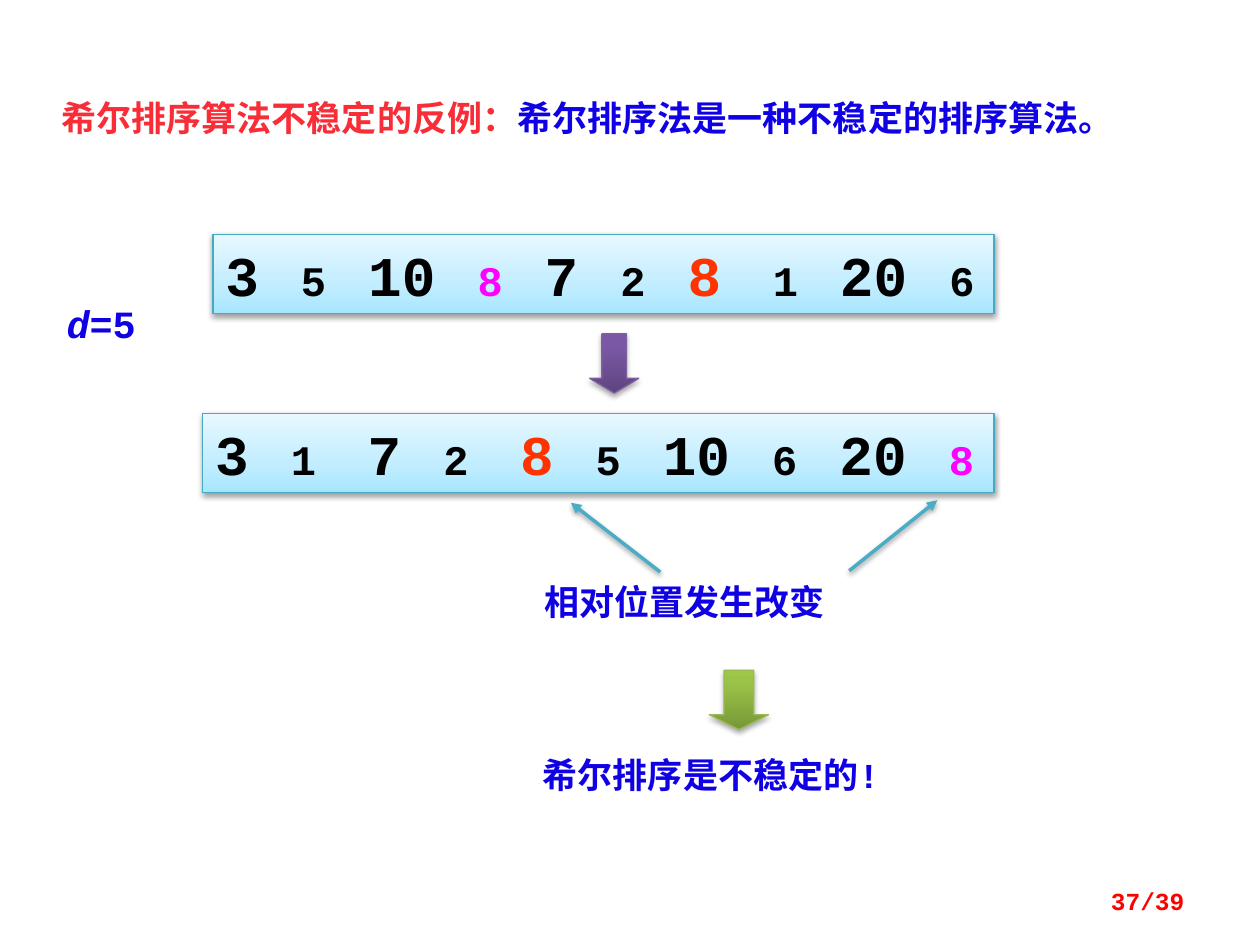
from dataclasses import dataclass

from lxml import etree
from pptx import Presentation
from pptx.dml.color import RGBColor
from pptx.enum.shapes import MSO_CONNECTOR, MSO_SHAPE
from pptx.enum.text import MSO_ANCHOR, PP_ALIGN
from pptx.oxml.ns import qn
from pptx.util import Inches, Pt

RECT, DOWN = MSO_SHAPE.RECTANGLE, MSO_SHAPE.DOWN_ARROW
STRAIGHT = MSO_CONNECTOR.STRAIGHT
TOP, MIDDLE = MSO_ANCHOR.TOP, MSO_ANCHOR.MIDDLE
LEFT, RIGHT = PP_ALIGN.LEFT, PP_ALIGN.RIGHT


@dataclass(frozen=True)
class Theme:
    latin: str = "Courier New"
    cjk: str = "Noto Sans CJK SC"
    black: str = "000000"
    blue: str = "1000E4"
    title_red: str = "F92D37"
    page_red: str = "FF0000"
    first_eight: str = "FF00FF"
    second_eight: str = "FF3300"
    pointer: str = "4BACC6"
    row_line: str = "46AAC5"
    row_fill: tuple = ((0, "A7E6FF"), (35, "C1EDFF"), (100, "E7F8FF"))
    purple_line: str = "7D60A0"
    purple_fill: tuple = ((0, "5F4480"), (80, "7B58A6"), (100, "7C57A8"))
    green_line: str = "98B955"
    green_fill: tuple = ((0, "779737"), (80, "9BC348"), (100, "9DC746"))
    big: int = 32
    small: int = 24
    step: int = 22
    body: int = 20
    page: int = 14


class Deck:
    def __init__(self, slide, theme):
        self.slide, self.theme = slide, theme

    def run(self, p, text, size, color, bold=True, italic=False, latin=None):
        r = p.add_run()
        r.text = text
        f = r.font
        f.name, f.size, f.bold, f.italic = latin or self.theme.latin, Pt(size), bold, italic
        f.color.rgb = RGBColor.from_string(color)
        ea = etree.Element(qn("a:ea"), typeface=self.theme.cjk)
        r._r.rPr.find(qn("a:latin")).addnext(ea)

    def shadow(self, s, opacity=38, distance=1.6):
        effects = etree.SubElement(s._element.spPr, qn("a:effectLst"))
        outer = etree.SubElement(effects, qn("a:outerShdw"), blurRad=str(Pt(3.1)),
                                 dist=str(Pt(distance)), dir="5400000", rotWithShape="0")
        color = etree.SubElement(outer, qn("a:srgbClr"), val=self.theme.black)
        etree.SubElement(color, qn("a:alpha"), val=str(opacity * 1000))

    def text(self, x, y, w, h, runs, align=LEFT, anchor=TOP, spacing=None):
        tf = self.slide.shapes.add_textbox(Inches(x), Inches(y), Inches(w), Inches(h)).text_frame
        tf.word_wrap, tf.vertical_anchor = True, anchor
        p = tf.paragraphs[0]
        p.alignment, p.line_spacing = align, spacing
        for text, size, color, *style in runs:
            self.run(p, text, size, color, *style)

    def shape(self, kind, x, y, w, h, stops, line):
        s = self.slide.shapes.add_shape(kind, Inches(x), Inches(y), Inches(w), Inches(h))
        s.fill.gradient()
        s.fill.gradient_angle = 90
        gs_list = s._element.spPr.find(qn("a:gradFill")).find(qn("a:gsLst"))
        for gs in list(gs_list):
            gs_list.remove(gs)
        for pos, color in stops:
            gs = etree.SubElement(gs_list, qn("a:gs"), pos=str(pos * 1000))
            etree.SubElement(gs, qn("a:srgbClr"), val=color)
        s.line.color.rgb = RGBColor.from_string(line)
        s.line.width = Pt(0.75)
        return s

    def number_row(self, x, y, w, h, values):
        t = self.theme
        s = self.shape(RECT, x, y, w, h, t.row_fill, t.row_line)
        self.shadow(s)
        tf = s.text_frame
        tf.word_wrap, tf.vertical_anchor = False, MIDDLE
        p = tf.paragraphs[0]
        p.alignment = LEFT
        for i, (value, color, gap) in enumerate(values):
            self.run(p, value, t.small if i % 2 else t.big, color)
            if gap:
                self.run(p, gap, t.small, t.black)

    def down_arrow(self, x, y, w, h, head, stops, line):
        s = self.shape(DOWN, x, y, w, h, stops, line)
        s.adjustments[0], s.adjustments[1] = 0.5, head
        self.shadow(s, 35, 1.8)

    def pointer(self, x1, y1, x2, y2):
        s = self.slide.shapes.add_connector(STRAIGHT, Inches(x1), Inches(y1), Inches(x2), Inches(y2))
        s.line.color.rgb = RGBColor.from_string(self.theme.pointer)
        s.line.width = Pt(2)
        etree.SubElement(s.line._get_or_add_ln(), qn("a:tailEnd"), type="triangle")
        self.shadow(s)


def main():
    prs = Presentation()
    prs.slide_width, prs.slide_height = Inches(10), Inches(7.5)
    t = Theme()
    d = Deck(prs.slides.add_slide(prs.slide_layouts[6]), t)
    k, m, o = t.black, t.first_eight, t.second_eight

    d.text(0.39, 0.62, 9.45, 0.5, [
        ("希尔排序算法不稳定的反例：", t.body, t.title_red),
        ("希尔排序法是一种不稳定的排序算法。", t.body, t.blue)], spacing=1.3)

    d.number_row(1.69, 1.86, 6.2, 0.63, [
        ("3", k, "　"), ("5", k, "　"), ("10", k, "　"), ("8", m, "　"), ("7", k, "　"),
        ("2", k, "　"), ("8", o, "　 "), ("1", k, "　"), ("20", k, "　"), ("6", k, "")])
    d.text(0.43, 2.33, 0.9, 0.47, [
        ("d", t.step, t.blue, True, True), ("=5", t.step, t.blue)])
    d.number_row(1.61, 3.28, 6.28, 0.63, [
        ("3", k, "　"), ("1", k, "　 "), ("7", k, "　"), ("2", k, "　 "), ("8", o, "　"),
        ("5", k, "　"), ("10", k, "　"), ("6", k, "　"), ("20", k, "　"), ("8", m, "")])
    d.down_arrow(4.68, 2.65, 0.39, 0.47, 0.3, t.purple_fill, t.purple_line)

    d.pointer(5.24, 4.54, 4.53, 3.99)
    d.pointer(6.74, 4.53, 7.44, 3.97)
    d.text(4.22, 4.56, 3.7, 0.44, [
        ("相对位置发生改变", t.body, t.blue, True, False, t.cjk)])
    d.down_arrow(5.63, 5.32, 0.47, 0.47, 0.25, t.green_fill, t.green_line)
    d.text(4.21, 5.93, 3.55, 0.44, [("希尔排序是不稳定的!", t.body, t.blue)])
    d.text(7.17, 6.95, 2.33, 0.4, [("37/39", t.page, t.page_red)], RIGHT, MIDDLE)

    prs.save("out.pptx")


if __name__ == "__main__":
    main()
